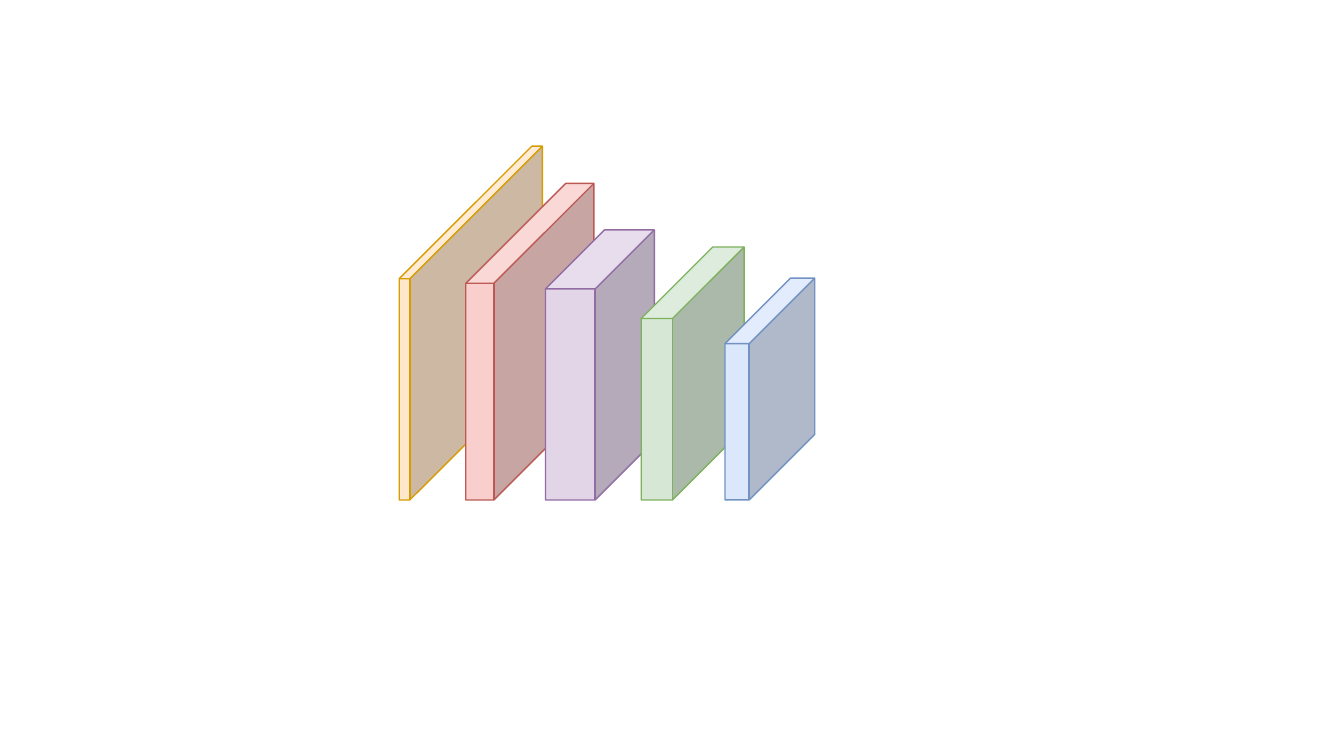
from pptx import Presentation
from pptx.dml.color import RGBColor
from pptx.enum.shapes import MSO_SHAPE
from pptx.util import Inches, Pt

COLORS = {
    "orange": "FFE7CC", "orange line": "D79C00",
    "red": "F8CFCC", "red line": "BC5954",
    "purple": "E2D5E8", "purple line": "926DA3",
    "green": "D6E8D5", "green line": "7DB15E",
    "blue": "DBE8FC", "blue line": "7192C2",
}
BASELINE = 4.96

# color, left, width, height, depth in percent of the width
LAYERS = [
    ("orange", 3.96, 1.42, 3.51, 92.6),
    ("red", 4.62, 1.27, 3.14, 78),
    ("purple", 5.41, 1.08, 2.68, 54.3),
    ("green", 6.36, 1.02, 2.51, 69.6),
    ("blue", 7.19, 0.89, 2.2, 73),
]


class SlideBuilder:
    """Holds the style and the current slide."""

    def __init__(self, slide, line_width=1):
        """Keep the slide and the outline width in points."""
        self.slide = slide
        self.line_width = Pt(line_width)

    def group(self):
        """Add an empty group."""
        return self.slide.shapes.add_group_shape()

    def cube(self, group, color, left, width, height, depth):
        """Add a cube that stands on the baseline."""
        cube = group.shapes.add_shape(
            MSO_SHAPE.CUBE, Inches(left), Inches(BASELINE - height),
            Inches(width), Inches(height))
        cube.adjustments[0] = depth / 100
        cube.shadow.inherit = False
        cube.fill.solid()
        cube.fill.fore_color.rgb = RGBColor.from_string(COLORS[color])
        cube.line.color.rgb = RGBColor.from_string(COLORS[f"{color} line"])
        cube.line.width = self.line_width
        return cube


def main():
    """Build the row of network layers and save the deck."""
    deck = Presentation()
    deck.slide_width, deck.slide_height = Inches(13.33), Inches(7.5)
    builder = SlideBuilder(deck.slides.add_slide(deck.slide_layouts[6]))
    network = builder.group()
    for layer in LAYERS:
        builder.cube(network, *layer)
    deck.save("out.pptx")


main()
